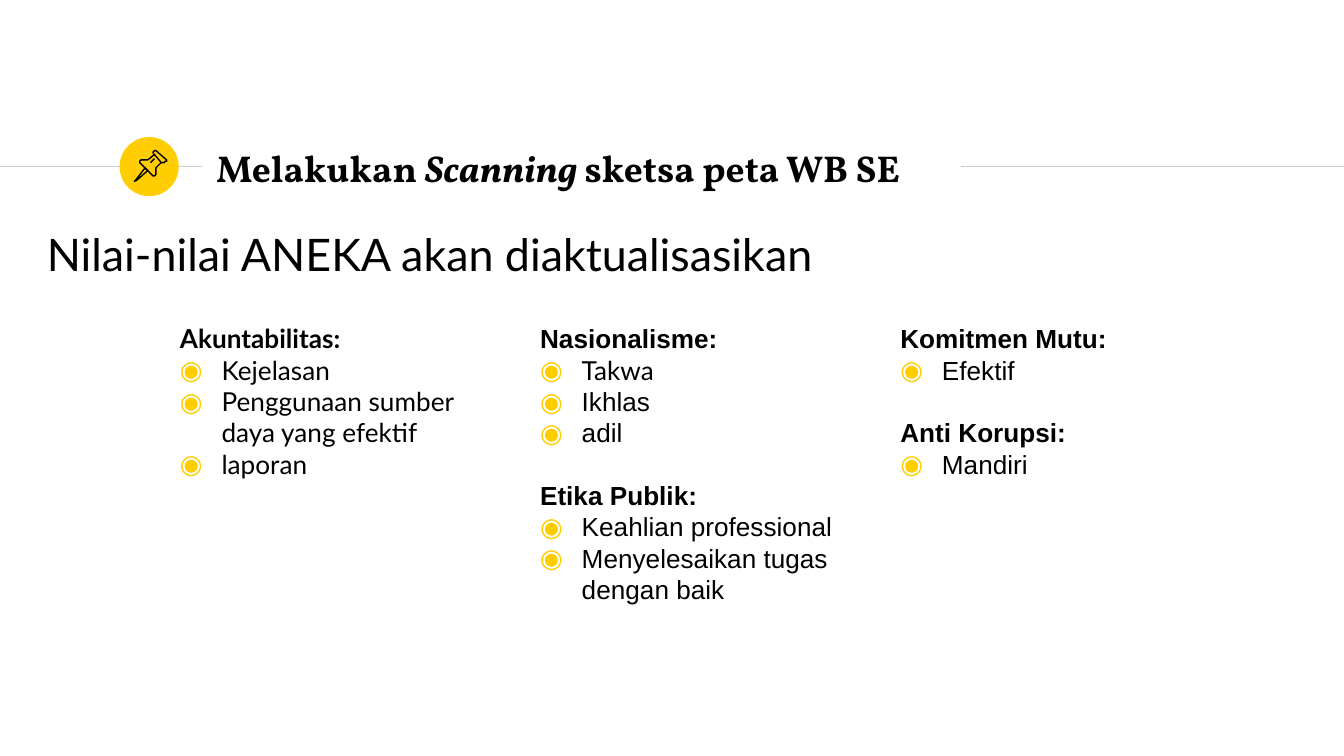
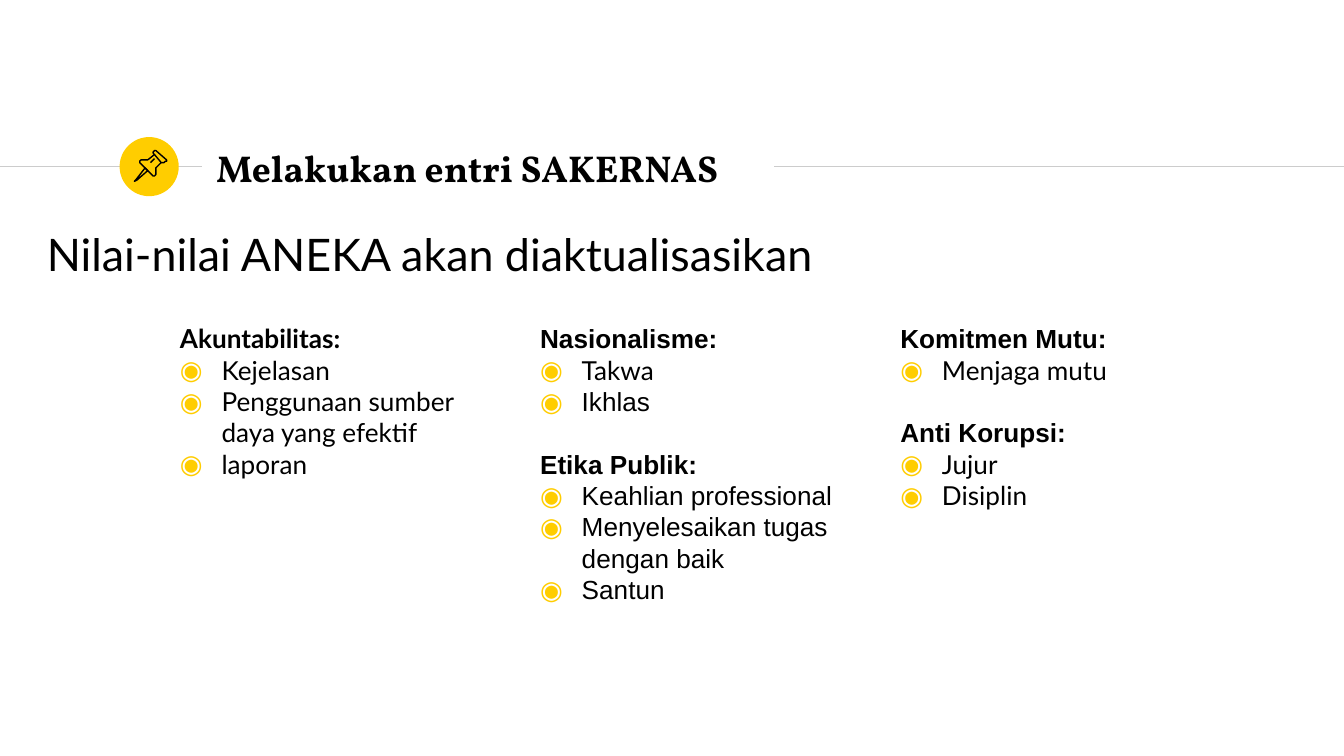
from pptx import Presentation
from pptx.dml.color import RGBColor
from pptx.enum.shapes import MSO_CONNECTOR, MSO_SHAPE
from pptx.enum.text import MSO_ANCHOR, MSO_AUTO_SIZE, PP_ALIGN
from pptx.oxml.ns import qn
from pptx.util import Inches, Pt
from lxml.etree import SubElement

BLACK = RGBColor(0x00, 0x00, 0x00)
YELLOW = RGBColor(0xFF, 0xCD, 0x00)
GREY = RGBColor(0xCC, 0xCC, 0xCC)

TITLE_FONT, BODY_FONT, LIST_FONT = "Vollkorn", "Lato", "Arial"
LINE_HEIGHT = Pt(16.8)
RULE_Y = 1.24
COLUMN_LEFT, COLUMN_STEP, COLUMN_TOP = 1.24, 2.68, 2.3
COLUMN_SIZES = [(2.55, 2.37), (2.55, 2.37), (2.91, 2.17)]
SUBTITLE = "Nilai-nilai ANEKA akan diaktualisasikan"

# Pushpin outlines in hundredths of an inch: (points, closed)
PIN = [
    ([(108, 125), (101, 134), (100, 135), (102, 134), (110, 127)], True),
    ([(115, 115), (120, 121), (122, 121), (123, 120.5), (124, 120), (124, 119),
      (116, 112), (115, 112), (114, 113), (114, 114.5)], True),
    ([(115, 115), (110, 119), (107, 118.7), (105, 119), (104, 120), (104, 121),
      (114, 131), (115, 131), (116, 130), (116.3, 128), (116, 125),
      (120, 121)], False),
    ([(112, 121), (115, 118)], False),
]

# Terms set in the body font; all other list text uses the list font
BODY_FONT_TERMS = {
    "Akuntabilitas:", "Kejelasan", "Penggunaan sumber daya yang efektif",
    "laporan", "Takwa", "Menjaga mutu", "Jujur", "Disiplin",
}

ACCOUNTABILITY = [("Akuntabilitas:", [
    "Kejelasan", "Penggunaan sumber daya yang efektif", "laporan"])]
ETHICS = ["Keahlian professional", "Menyelesaikan tugas dengan baik"]

# Title spans are (text, italic); each column holds (heading, items) groups
PAGES = [
    {
        "title": [("Melakukan ", False), ("Scanning ", True),
                  ("sketsa peta WB SE", False)],
        "rule_start": 7.15,
        "columns": [
            ACCOUNTABILITY,
            [("Nasionalisme:", ["Takwa", "Ikhlas", "adil"]),
             ("Etika Publik:", ETHICS)],
            [("Komitmen Mutu:", ["Efektif"]), ("Anti Korupsi:", ["Mandiri"])],
        ],
    },
    {
        "title": [("Melakukan entri SAKERNAS", False)],
        "rule_start": 5.76,
        "columns": [
            ACCOUNTABILITY,
            [("Nasionalisme:", ["Takwa", "Ikhlas"]),
             ("Etika Publik:", ETHICS + ["Santun"])],
            [("Komitmen Mutu:", ["Menjaga mutu"]),
             ("Anti Korupsi:", ["Jujur", "Disiplin"])],
        ],
    },
]


def set_font(paragraph, name, size, bold=False):
    font = paragraph.font
    font.name, font.size, font.bold = name, Pt(size), bold
    font.color.rgb = BLACK


def prepare_frame(shape, anchor=MSO_ANCHOR.TOP):
    frame = shape.text_frame
    frame.word_wrap = True
    frame.auto_size = MSO_AUTO_SIZE.NONE
    frame.vertical_anchor = anchor
    frame.margin_left = frame.margin_right = Inches(0.1)
    frame.margin_top = frame.margin_bottom = Inches(0.1)
    return frame


def add_box(page, left, top, width, height):
    box = page.shapes.add_textbox(Inches(left), Inches(top),
                                  Inches(width), Inches(height))
    return prepare_frame(box)


def add_rule(page, start, end):
    rule = page.shapes.add_connector(
        MSO_CONNECTOR.STRAIGHT, Inches(start), Inches(RULE_Y),
        Inches(end), Inches(RULE_Y))
    rule.line.color.rgb = GREY
    rule.line.width = Pt(0.75)
    SubElement(rule.element.spPr, qn("a:effectLst"))


def add_pin(page):
    """Yellow disc with the outlined pushpin."""
    disc = page.shapes.add_shape(MSO_SHAPE.OVAL, Inches(0.89), Inches(1.02),
                                 Inches(0.44), Inches(0.44))
    disc.shadow.inherit = False
    disc.fill.solid()
    disc.fill.fore_color.rgb = YELLOW
    disc.line.fill.background()

    group = page.shapes.add_group_shape()
    for points, closed in PIN:
        builder = group.shapes.build_freeform(*points[0], scale=Inches(0.01))
        builder.add_line_segments(points[1:], close=closed)
        outline = builder.convert_to_shape()
        outline.shadow.inherit = False
        outline.fill.background()
        outline.line.color.rgb = BLACK
        outline.line.width = Pt(0.75)


def add_title(page, spans):
    title = page.shapes.title
    title.left, title.top = Inches(1.51), Inches(1.01)
    title.width, title.height = Inches(5.63), Inches(0.48)
    para = prepare_frame(title, MSO_ANCHOR.MIDDLE).paragraphs[0]
    para.alignment = PP_ALIGN.LEFT
    set_font(para, TITLE_FONT, 20, bold=True)
    for text, italic in spans:
        span = para.add_run()
        span.text = text
        span.font.italic = italic


def add_subtitle(page):
    para = add_box(page, 0, 1.59, 7.14, 0.61).paragraphs[0]
    para.text = SUBTITLE
    set_font(para, BODY_FONT, 24)
    para._p.get_or_add_pPr().set("marL", str(Inches(0.25)))


def add_bullet(para):
    properties = para._p.get_or_add_pPr()
    properties.set("marL", str(Inches(0.31)))
    properties.set("indent", str(Inches(-0.31)))
    # The schema wants the bullet before the default run properties
    defaults = properties.find(qn("a:defRPr"))
    color = SubElement(properties, qn("a:buClr"))
    SubElement(color, qn("a:srgbClr"), val=str(YELLOW))
    font = SubElement(properties, qn("a:buFont"), typeface=BODY_FONT)
    char = SubElement(properties, qn("a:buChar"), char="◉")
    if defaults is not None:
        for part in (color, font, char):
            defaults.addprevious(part)


def add_column(page, index, groups):
    frame = add_box(page, COLUMN_LEFT + index * COLUMN_STEP, COLUMN_TOP,
                    *COLUMN_SIZES[index])
    for number, (heading, items) in enumerate(groups):
        for position, text in enumerate([heading, *items]):
            first = number == 0 and position == 0
            para = frame.paragraphs[0] if first else frame.add_paragraph()
            para.text = text
            para.line_spacing = LINE_HEIGHT
            name = BODY_FONT if text in BODY_FONT_TERMS else LIST_FONT
            set_font(para, name, 14, bold=position == 0)
            if position > 0:
                add_bullet(para)
            elif number > 0:
                para.space_before = LINE_HEIGHT


def add_page(deck, content):
    page = deck.slides.add_slide(deck.slide_layouts[5])
    # Header band
    add_rule(page, 0, 1.5)
    add_rule(page, content["rule_start"], 10)
    add_pin(page)
    add_title(page, content["title"])
    # Body
    add_subtitle(page)
    for index, groups in enumerate(content["columns"]):
        add_column(page, index, groups)


def main():
    deck = Presentation()
    # 16:9 page
    deck.slide_width = Inches(10)
    deck.slide_height = deck.slide_width * 9 // 16
    for content in PAGES:
        add_page(deck, content)
    deck.save("out.pptx")


main()
